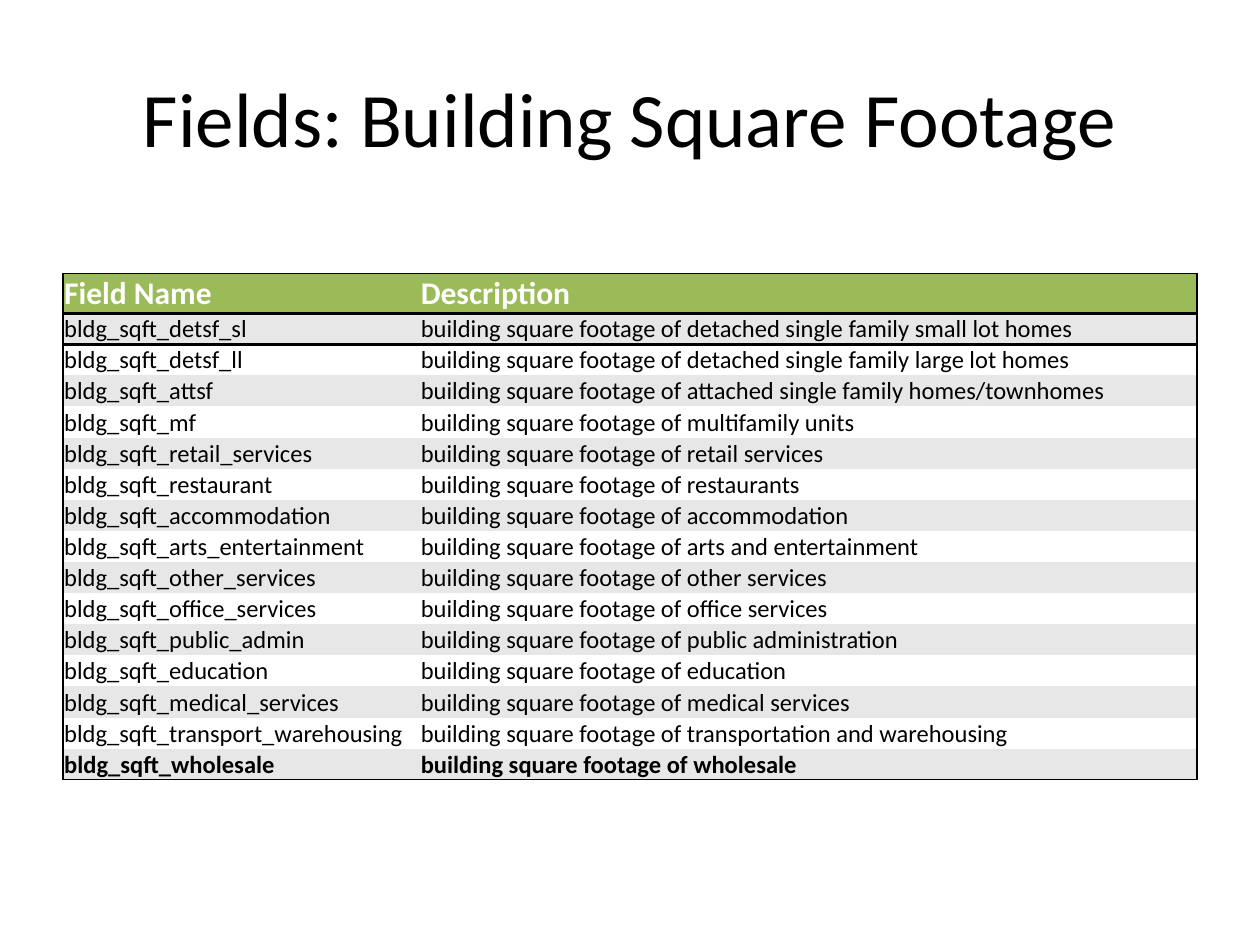
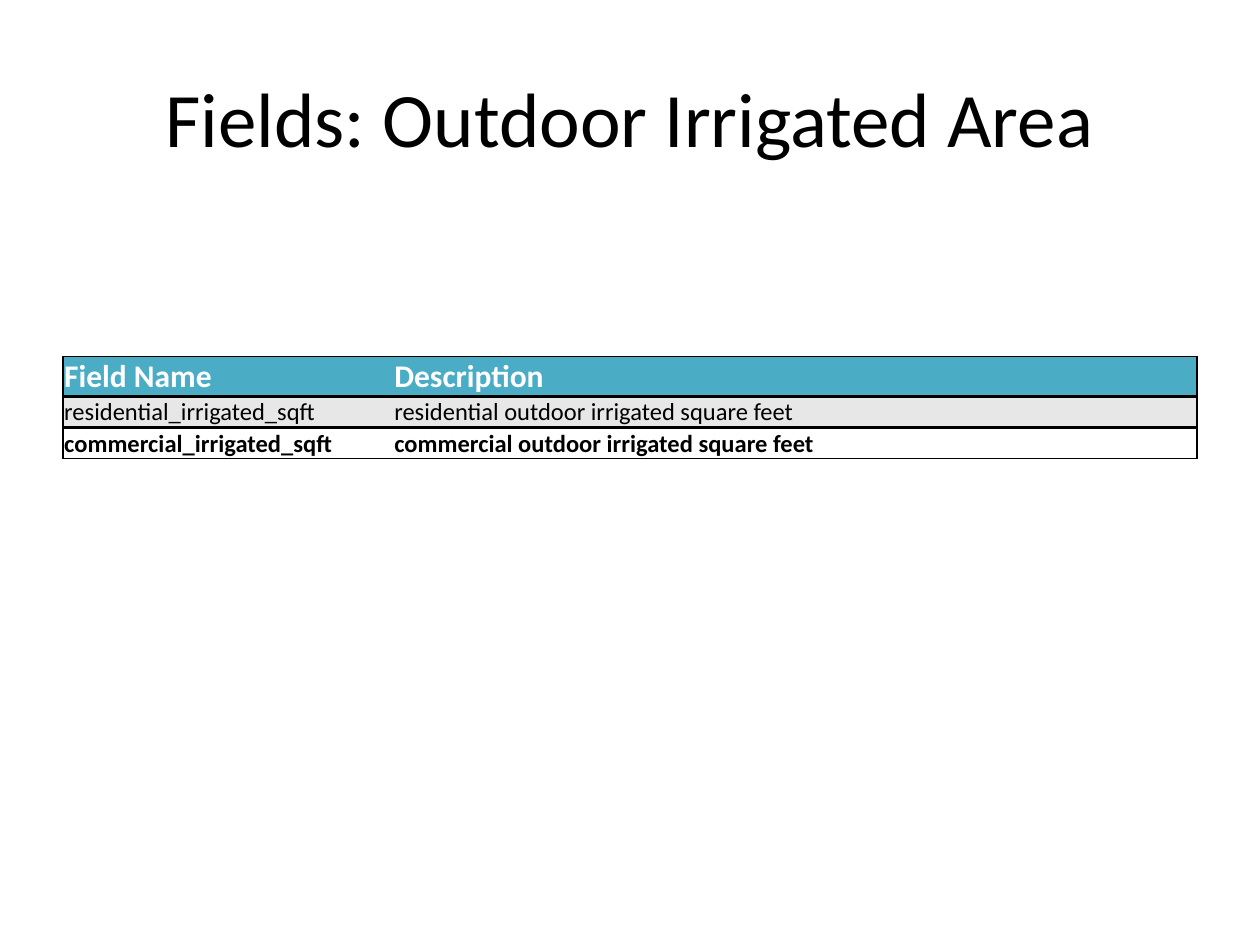
import pptx
import pptx.dml.color
import pptx.enum.text
import pptx.oxml
import pptx.oxml.ns
import pptx.util
from pptx.enum.text import MSO_ANCHOR, PP_ALIGN

# Shared look
SLIDE_W, SLIDE_H = 10, 7.5
MARGIN = 0.05 * SLIDE_W
CONTENT_W = SLIDE_W - 2 * MARGIN
FONT = "Calibri"
BLACK, WHITE, BAND = "000000", "FFFFFF", "E7E7E7"
GREEN, TEAL = "9BBB59", "4BACC6"
HEADER_H, FIELD_H = 0.31, 0.24
PLAIN_TABLE_STYLE = "{2D5ABB26-0587-4C30-8999-92F81FD0307C}"
HEADINGS = ("Field Name", "Description")

# Field name endings and what each one measures
BUILDING_USES = [
    ("detsf_sl", "detached single family small lot homes"),
    ("detsf_ll", "detached single family large lot homes"),
    ("attsf", "attached single family homes/townhomes"),
    ("mf", "multifamily units"),
    ("retail_services", "retail services"),
    ("restaurant", "restaurants"),
    ("accommodation", "accommodation"),
    ("arts_entertainment", "arts and entertainment"),
    ("other_services", "other services"),
    ("office_services", "office services"),
    ("public_admin", "public administration"),
    ("education", "education"),
    ("medical_services", "medical services"),
    ("transport_warehousing", "transportation and warehousing"),
    ("wholesale", "wholesale"),
]
IRRIGATED_USES = ["residential", "commercial"]


def inches(value):
    return pptx.util.Inches(value)


def color(hex_string):
    return pptx.dml.color.RGBColor.from_string(hex_string)


def write_text(frame, text, size=14, fill=BLACK, bold=False, align=PP_ALIGN.LEFT):
    paragraph = frame.paragraphs[0]
    paragraph.alignment = align
    run = paragraph.add_run()
    run.text = text
    run.font.name = FONT
    run.font.size = pptx.util.Pt(size)
    run.font.bold = bold
    run.font.color.rgb = color(fill)


def add_titled_slide(deck, title):
    slide = deck.slides.add_slide(deck.slide_layouts[5])
    heading = slide.shapes.title
    heading.left, heading.top = inches(MARGIN), inches(0.04 * SLIDE_H)
    heading.width, heading.height = inches(CONTENT_W), inches(SLIDE_H / 6)
    heading.text_frame.vertical_anchor = MSO_ANCHOR.MIDDLE
    write_text(heading.text_frame, title, size=44, align=PP_ALIGN.CENTER)
    return slide


def add_borders(cell, edges):
    """Draw the given edges, a dict of L, R, T, B to points."""
    properties = cell._tc.get_or_add_tcPr()
    for edge in "LRTB":
        if edge in edges:
            properties.append(pptx.oxml.parse_xml(
                f'<a:ln{edge} {pptx.oxml.ns.nsdecls("a")} w="{pptx.util.Pt(edges[edge])}">'
                f'<a:solidFill><a:srgbClr val="{BLACK}"/></a:solidFill></a:ln{edge}>'))


def outline(row, column, last_row):
    """Frame the table and rule off the header."""
    edges = {"R": 1} if column else {"L": 1}
    if row == 0:
        edges.update(T=1, B=2)
    elif row == 1:
        edges["T"] = 2
    if row == last_row:
        edges["B"] = 1
    return edges


def fill_cell(cell, text, background, edges, **text_format):
    cell.margin_left = cell.margin_right = cell.margin_top = inches(0.01)
    cell.margin_bottom = 0
    cell.vertical_anchor = MSO_ANCHOR.BOTTOM
    add_borders(cell, edges)
    cell.fill.solid()
    cell.fill.fore_color.rgb = color(background)
    write_text(cell.text_frame, text, **text_format)


def add_field_table(slide, fields, top, name_width, accent):
    rows = [HEADINGS, *fields]
    last_row = len(fields)
    height = HEADER_H + last_row * FIELD_H
    frame = slide.shapes.add_table(len(rows), 2, inches(MARGIN), inches(top),
                                   inches(CONTENT_W), inches(height))
    table = frame.table
    table.horz_banding = False
    table.last_row = True
    style = next(table._tbl.iter(pptx.oxml.ns.qn("a:tableStyleId")))
    style.text = PLAIN_TABLE_STYLE
    table.columns[0].width = inches(name_width)
    table.columns[1].width = inches(CONTENT_W - name_width)

    for row, texts in enumerate(rows):
        table.rows[row].height = inches(FIELD_H if row else HEADER_H)
        if row == 0:
            background, text_format = accent, dict(size=18, fill=WHITE, bold=True)
        else:
            background = BAND if row % 2 else WHITE
            text_format = dict(bold=row == last_row)
        for column, text in enumerate(texts):
            fill_cell(table.cell(row, column), text, background,
                      outline(row, column, last_row), **text_format)


def main():
    deck = pptx.Presentation()
    deck.slide_width, deck.slide_height = inches(SLIDE_W), inches(SLIDE_H)

    # Building square footage
    building = add_titled_slide(deck, "Fields: Building Square Footage")
    building_fields = [(f"bldg_sqft_{ending}", f"building square footage of {use}")
                       for ending, use in BUILDING_USES]
    add_field_table(building, building_fields, top=2.17, name_width=2.83, accent=GREEN)

    # Outdoor irrigated area
    irrigation = add_titled_slide(deck, "Fields: Outdoor Irrigated Area")
    irrigation_fields = [(f"{use}_irrigated_sqft", f"{use} outdoor irrigated square feet")
                         for use in IRRIGATED_USES]
    add_field_table(irrigation, irrigation_fields, top=2.83, name_width=2.62, accent=TEAL)

    deck.save("out.pptx")


if __name__ == "__main__":
    main()
